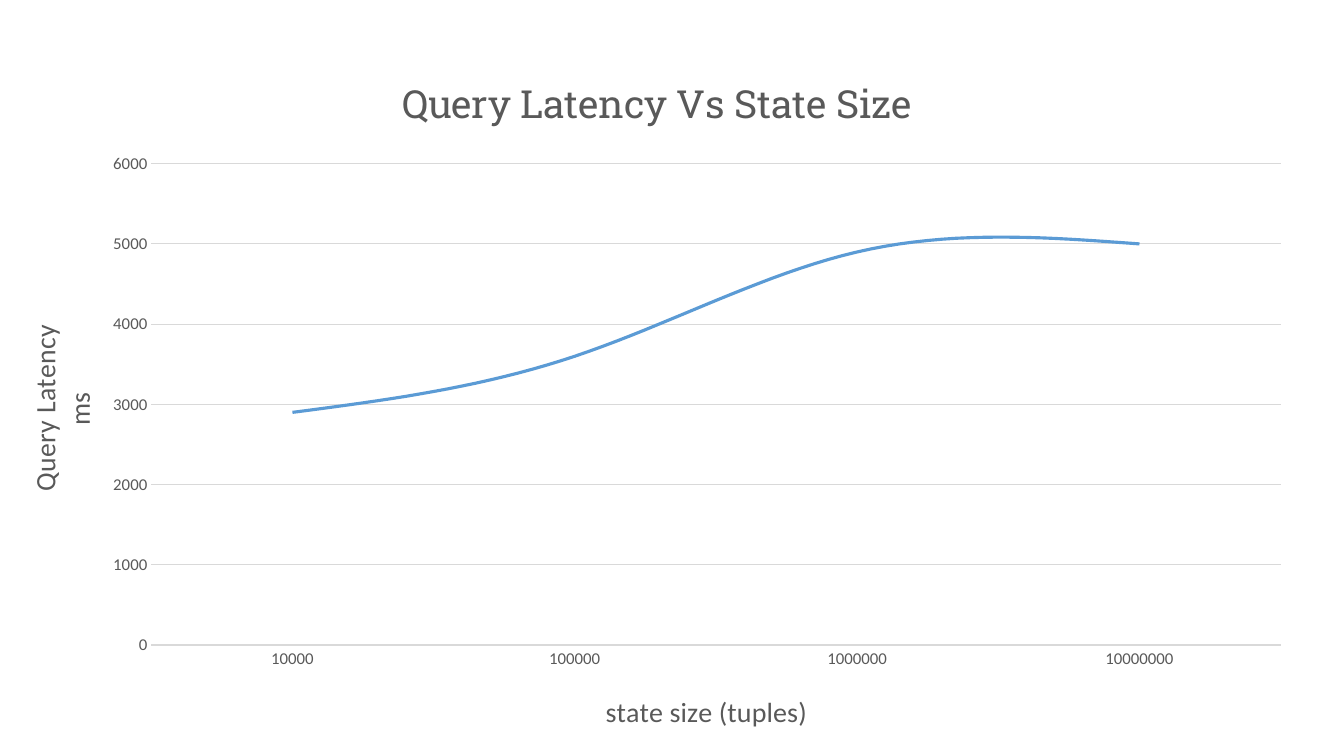
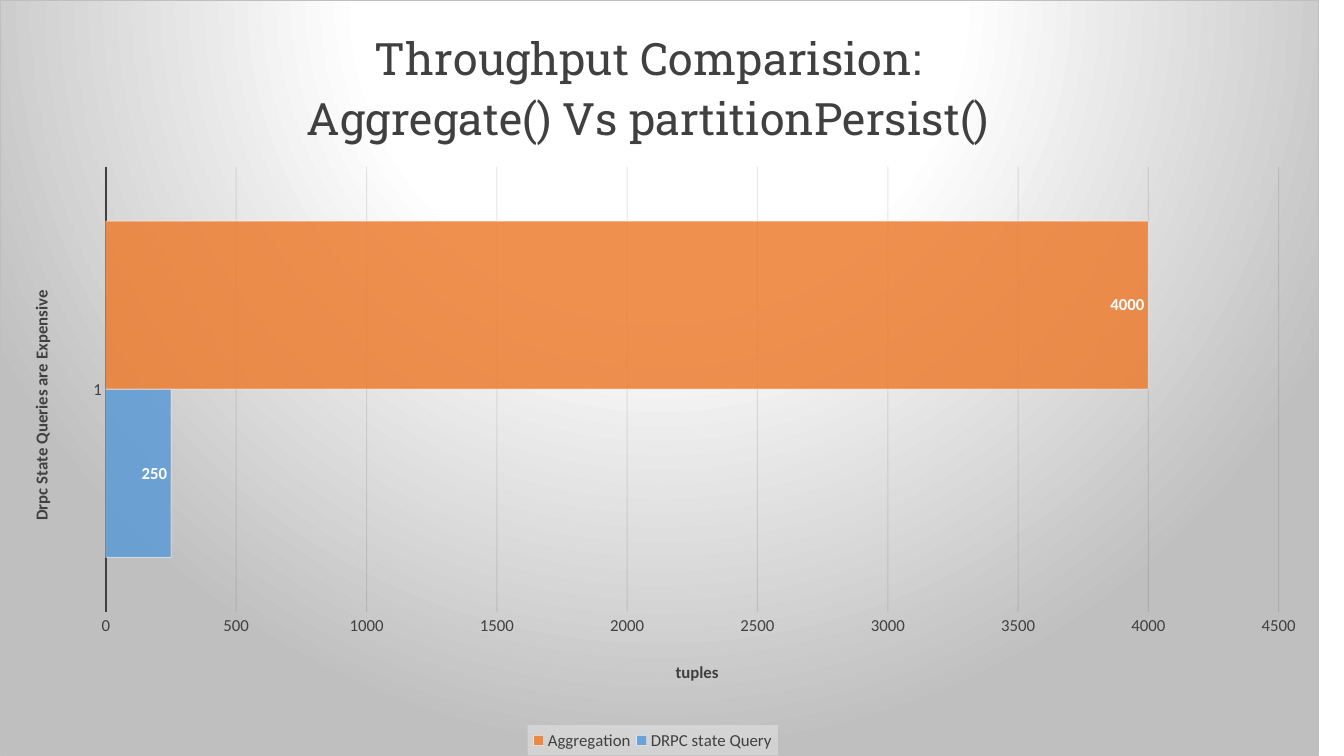
"""Build two chart slides on query latency and throughput."""
from lxml.etree import SubElement
from pptx import Presentation
from pptx.chart.data import CategoryChartData
from pptx.dml.color import RGBColor
from pptx.enum.chart import XL_CHART_TYPE as ChartType
from pptx.enum.chart import XL_LABEL_POSITION as LabelPosition
from pptx.enum.chart import XL_LEGEND_POSITION as LegendPosition
from pptx.enum.chart import XL_TICK_MARK as TickMark
from pptx.oxml import parse_xml
from pptx.oxml.ns import nsdecls, qn
from pptx.util import Inches, Pt

WHITE = RGBColor(0xFF, 0xFF, 0xFF)
BLUE = RGBColor(0x5B, 0x9B, 0xD5)
ORANGE = RGBColor(0xED, 0x7D, 0x31)
GREY = RGBColor(0x59, 0x59, 0x59)
DARK = RGBColor(0x40, 0x40, 0x40)
LIGHT = RGBColor(0xD9, 0xD9, 0xD9)
NEAR_BLACK = RGBColor(0x0D, 0x0D, 0x0D)
PALE = RGBColor(0xF2, 0xF2, 0xF2)
SILVER = RGBColor(0xBF, 0xBF, 0xBF)
TITLE_FONT, BODY_FONT = "Roboto Slab", "Calibri"

LATENCY = {
    "type": ChartType.LINE,
    "box": (0.1, 0.31, 12.73, 7.01),
    "color": GREY,
    "title": (["Query Latency Vs State Size"], 28, (0.3, 0.05)),
    "axis_style": (20, False),
    "category_title": (["state size (tuples)"], (0.46, 0.94)),
    "value_title": (["Query Latency", "ms"], (0.01, 0.42)),
    "vertical": "value_title",
    "plot": (0.11, 0.19, 0.88, 0.69),
    "grid": (LIGHT, 100),
    "scale": (6000, 1000),
    "categories": ["10000", "100000", "1000000", "10000000"],
    "series": [("Series 1", [2900, 3600, 4900, 5000], BLUE)],
}
THROUGHPUT = {
    "type": ChartType.BAR_CLUSTERED,
    "box": (0, 0, 13.08, 7.5),
    "color": DARK,
    "title": (["Throughput Comparision:", "Aggregate() Vs partitionPersist()"], 32, (0.23, 0.03)),
    "axis_style": (12, True),
    "category_title": (["Drpc State Queries are Expensive"], (0.02, 0.38)),
    "value_title": (["tuples"], (0.51, 0.87)),
    "vertical": "category_title",
    "plot": (0.08, 0.22, 0.89, 0.59),
    "grid": (NEAR_BLACK, 10),
    "scale": (4500, 500),
    "categories": ["1"],
    "series": [("DRPC state Query", [250], BLUE), ("Aggregation", [4000], ORANGE)],
}


def place(element, index, position, inner=False):
    """Give a chart part a fixed place, as fractions of the chart."""
    for layout in element.findall(qn("c:layout")):
        element.remove(layout)
    target = '<c:layoutTarget val="inner"/>' if inner else ""
    modes = '<c:xMode val="edge"/><c:yMode val="edge"/>'
    values = "".join(f'<c:{key} val="{value}"/>' for key, value in zip("xywh", position))
    element.insert(index, parse_xml(
        f'<c:layout {nsdecls("c")}><c:manualLayout>{target}{modes}{values}'
        "</c:manualLayout></c:layout>"))


def paint(fill, color, opacity=100):
    """Fill with one colour at the given opacity."""
    fill.solid()
    fill.fore_color.rgb = color
    if opacity < 100:
        node = fill._xPr.find(f'{qn("a:solidFill")}/{qn("a:srgbClr")}')
        SubElement(node, qn("a:alpha")).set("val", str(opacity * 1000))


def draw_line(line, color, width, opacity=100):
    """Set the colour, width and opacity of a line."""
    line.width = Pt(width)
    paint(line.fill, color, opacity)


def style_font(font, size, color, name=BODY_FONT, bold=False):
    """Set the face, size and colour of a font."""
    font.name, font.size, font.bold = name, Pt(size), bold
    font.color.rgb = color


def write_title(title, lines, position, size, color, name=BODY_FONT, bold=False, vertical=False):
    """Write a chart or axis title and put it in place."""
    frame = title.text_frame
    frame._txBody.bodyPr.set("rot", "-5400000" if vertical else "0")
    for number, line in enumerate(lines):
        paragraph = frame.add_paragraph() if number else frame.paragraphs[0]
        run = paragraph.add_run()
        run.text = line
        style_font(run.font, size, color, name, bold)
    place(title._element.find(qn("c:title")) if title._element.tag != qn("c:title")
          else title._element, 1, position)


def add_slide_chart(presentation, content):
    """Add a slide with one chart and its titles, axes and grid."""
    slide = presentation.slides.add_slide(presentation.slide_layouts[6])
    data = CategoryChartData()
    data.categories = content["categories"]
    for name, values, _ in content["series"]:
        data.add_series(name, values)
    box = [Inches(length) for length in content["box"]]
    chart = slide.shapes.add_chart(content["type"], *box, data).chart
    color = content["color"]
    style_font(chart.font, 12, color)
    chart.has_legend = False
    lines, size, position = content["title"]
    write_title(chart.chart_title, lines, position, size, color, TITLE_FONT)

    size, bold = content["axis_style"]
    for key, axis in (("category_title", chart.category_axis), ("value_title", chart.value_axis)):
        lines, position = content[key]
        write_title(axis.axis_title, lines, position, size, color,
                    bold=bold, vertical=key == content["vertical"])
        axis.major_tick_mark = axis.minor_tick_mark = TickMark.NONE
        style_font(axis.tick_labels.font, 12, color)
        axis.format.line.fill.background()
    axis = chart.value_axis
    axis.minimum_scale = 0
    axis.maximum_scale, axis.major_unit = content["scale"]
    grid_color, opacity = content["grid"]
    draw_line(axis.major_gridlines.format.line, grid_color, 0.75, opacity)
    chart.plots[0].vary_by_categories = False
    place(chart._chartSpace.chart.plotArea, 0, content["plot"], inner=True)
    return chart


def style_latency(chart):
    """Draw the latency as a smooth line."""
    for series, (_, _, color) in zip(chart.plots[0].series, LATENCY["series"]):
        series.smooth = True
        draw_line(series.format.line, color, 2.25)


def style_throughput(chart):
    """Style the bars, labels, legend and background of the throughput chart."""
    plot = chart.plots[0]
    plot.gap_width, plot.overlap = 65, 0
    for series, (_, _, color) in zip(plot.series, THROUGHPUT["series"]):
        series.invert_if_negative = False
        paint(series.format.fill, color, 85)
        draw_line(series.format.line, WHITE, 0.75, 50)
        labels = series.data_labels
        labels.show_value = True
        labels.position = LabelPosition.INSIDE_END
        style_font(labels.font, 12, WHITE, bold=True)
    draw_line(chart.category_axis.format.line, DARK, 1.5)

    chart.has_legend = True
    legend = chart.legend
    legend.position = LegendPosition.BOTTOM
    legend.include_in_layout = False
    style_font(legend.font, 12, DARK)
    place(legend._element, 1, (0.4, 0.96, 0.19, 0.04))
    legend._element.find(qn("c:overlay")).addnext(parse_xml(
        f'<c:spPr {nsdecls("c", "a")}><a:solidFill><a:srgbClr val="{PALE}">'
        '<a:alpha val="39000"/></a:srgbClr></a:solidFill></c:spPr>'))

    stops = "".join(f'<a:gs pos="{place_percent * 1000}"><a:srgbClr val="{color}"/></a:gs>'
                    for place_percent, color in ((0, WHITE), (39, WHITE), (100, SILVER)))
    chart._chartSpace.chart.addnext(parse_xml(
        f'<c:spPr {nsdecls("c", "a")}><a:gradFill><a:gsLst>{stops}</a:gsLst>'
        '<a:path path="circle"><a:fillToRect l="50000" t="-80000" r="50000" b="180000"/>'
        f'</a:path></a:gradFill><a:ln w="{Pt(0.75)}"><a:solidFill>'
        f'<a:srgbClr val="{SILVER}"/></a:solidFill></a:ln></c:spPr>'))


def main():
    """Build and save the presentation."""
    presentation = Presentation()
    presentation.slide_width, presentation.slide_height = Inches(13.33), Inches(7.5)
    for content, style in ((LATENCY, style_latency), (THROUGHPUT, style_throughput)):
        style(add_slide_chart(presentation, content))
    presentation.save("out.pptx")


if __name__ == "__main__":
    main()
